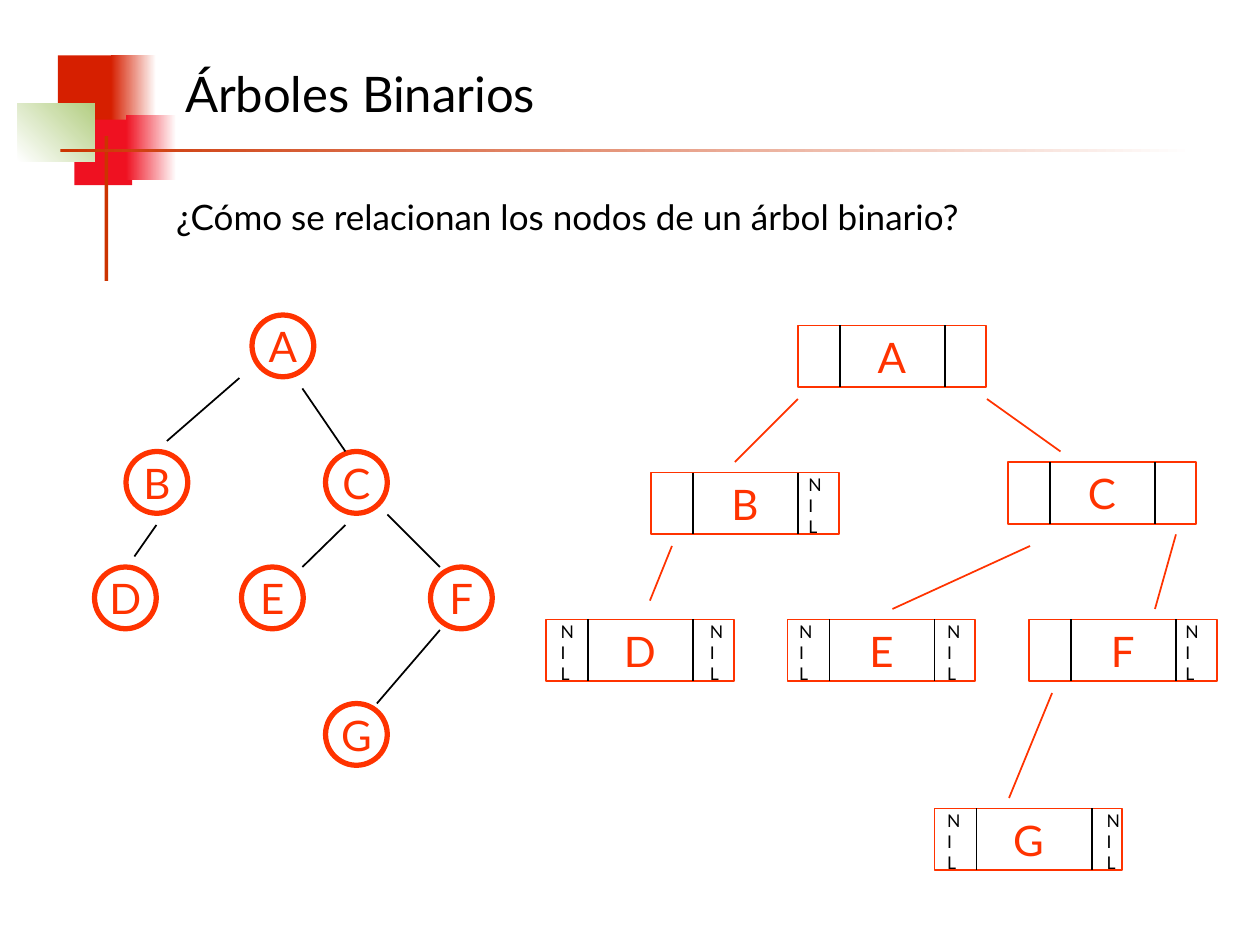
import pptx
import pptx.util
import pptx.dml.color
import pptx.enum.shapes
import pptx.enum.text
import lxml.etree

# ---- Content: positions are in grid cells, 12 cells to the inch ----
TITLE = "Árboles Binarios"
QUESTION = "¿Cómo se relacionan los nodos de un árbol binario?"
FONT = "Lato"
COLORS = {"node": "FF3300", "ink": "000000", "paper": "FFFFFF", "brick": "D61F00",
          "red": "EF1121", "green": "B3CE82", "rule": "CC3300"}

# Decoration: left, top, width, height in inches, fill colours, gradient angle
DECORATION = [
    (0.46, 0.44, 0.48, 0.52, ["brick"], 0),
    (0.88, 0.44, 0.36, 0.52, ["brick", "paper"], 0),
    (0.59, 0.95, 0.46, 0.52, ["red"], 0),
    (1.0, 0.91, 0.4, 0.52, ["red", "paper"], 0),
    (0.14, 0.82, 0.61, 0.46, ["paper", "green"], 45),
    (0.83, 1.08, 0.03, 1.15, ["rule"], 0),
    (0.48, 1.18, 9, 0.03, ["rule", "paper"], 0),
]

# Tree of circles: column and row of each node
CIRCLES = {"A": (24, 30), "D": (9, 54), "B": (12, 43), "C": (31, 43),
           "G": (31, 67), "E": (23, 54), "F": (41, 54)}
CIRCLE_EDGES = [
    ((22.8, 36), (15.9, 42)), ((14.9, 50), (12.8, 53)), ((28.8, 37), (32.9, 43)),
    ((32.9, 50), (28.8, 54)), ((36.9, 49), (41.9, 54)), ((41.9, 60), (35.9, 67)),
]

# Tree of records: column, row, divider offsets, offsets of the NIL pointers
RECORDS = {
    "D": (52, 59, (4, 14), (1.4, 15.6)),
    "A": (76, 31, (4, 14), ()),
    "C": (96, 44, (4, 14), ()),
    "B": (62, 45, (4, 14), (15,)),
    "E": (75, 59, (4, 14), (1.1, 15.2)),
    "F": (98, 59, (4, 14), (14.9,)),
    "G": (89, 77, (4, 15), (1.2, 16.4)),
}
RECORD_EDGES = [
    ((76, 38), (70, 44)), ((98.1, 52), (85, 58)), ((100.2, 66), (96.1, 76)),
    ((94, 38), (101, 43)), ((112, 50.9), (110, 58)), ((64, 52), (61.9, 57.2)),
]
NODE_HEIGHT, RECORD_WIDTH, NIL_WIDTH = 5.88, 17.88, 3.7

KIND = pptx.enum.shapes.MSO_SHAPE
ALIGN = pptx.enum.text.PP_ALIGN
ANCHOR = pptx.enum.text.MSO_ANCHOR

deck = pptx.Presentation()
deck.slide_width, deck.slide_height = pptx.util.Inches(10), pptx.util.Inches(7.5)
page = deck.slides.add_slide(deck.slide_layouts[6])


def color(name):
    return pptx.dml.color.RGBColor.from_string(COLORS[name])


def inches(*lengths):
    return [pptx.util.Inches(length) for length in lengths]


def cells(*counts):
    return inches(*(count / 12 for count in counts))


def write(box, text, size=24, ink="ink", align=ALIGN.LEFT, anchor=ANCHOR.TOP,
          wrap=True, margins=(0.1, 0.05)):
    """Fill a box with text, one paragraph for each line."""
    frame = box.text_frame
    frame.word_wrap = wrap
    frame.vertical_anchor = anchor
    frame.margin_left = frame.margin_right = pptx.util.Inches(margins[0])
    frame.margin_top = frame.margin_bottom = pptx.util.Inches(margins[1])
    for number, line in enumerate(text.split("\n")):
        para = frame.paragraphs[0] if number == 0 else frame.add_paragraph()
        para.alignment = align
        span = para.add_run()
        span.text = line
        span.font.name, span.font.size = FONT, pptx.util.Pt(size)
        span.font.color.rgb = color(ink)


def add_node(kind, name, place):
    node = page.shapes.add_shape(kind, *place)
    node.shadow.inherit = False
    node.fill.solid()
    node.fill.fore_color.rgb = color("paper")
    node.line.color.rgb = color("node")
    node.line.width = pptx.util.Pt(3 if kind == KIND.OVAL else 1)
    write(node, name, ink="node", align=ALIGN.CENTER, anchor=ANCHOR.MIDDLE, wrap=False)


def add_line(start, end, ink):
    line = page.shapes.add_connector(pptx.enum.shapes.MSO_CONNECTOR.STRAIGHT,
                                     *cells(*start, *end))
    line.line.color.rgb = color(ink)
    line.line.width = pptx.util.Pt(1)
    lxml.etree.SubElement(line._element.spPr, pptx.oxml.ns.qn("a:effectLst"))


# ---- Decoration ----
for *place, fills, angle in DECORATION:
    block = page.shapes.add_shape(KIND.RECTANGLE, *inches(*place))
    block.shadow.inherit = False
    block.line.fill.background()
    if len(fills) == 1:
        block.fill.solid()
        block.fill.fore_color.rgb = color(fills[0])
    else:
        block.fill.gradient()
        block.fill.gradient_angle = angle
        for stop, name in zip(block.fill.gradient_stops, fills):
            stop.color.rgb = color(name)

# ---- Title and question ----
write(page.shapes.add_textbox(*inches(1.37, 0.28, 7.01, 0.92)), TITLE,
      size=28, anchor=ANCHOR.MIDDLE)
write(page.shapes.add_textbox(*inches(1.3, 1.5, 7.8, 0.44)), QUESTION, size=20)

# ---- Tree of circles ----
for name, (column, row) in CIRCLES.items():
    add_node(KIND.OVAL, name, cells(column, row, NODE_HEIGHT, NODE_HEIGHT))
for start, end in CIRCLE_EDGES:
    add_line(start, end, "ink")

# ---- Tree of records with left and right pointers ----
for name, (column, row, dividers, nils) in RECORDS.items():
    add_node(KIND.RECTANGLE, name, cells(column, row, RECORD_WIDTH, NODE_HEIGHT))
    for offset in dividers:
        add_line((column + offset, row), (column + offset, row + NODE_HEIGHT), "ink")
    for offset in nils:
        box = page.shapes.add_textbox(*cells(column + offset, row + 0.1, NIL_WIDTH, 6))
        write(box, "N\nI\nL", size=10, margins=(0, 0))
for start, end in RECORD_EDGES:
    add_line(start, end, "node")

deck.save("out.pptx")
